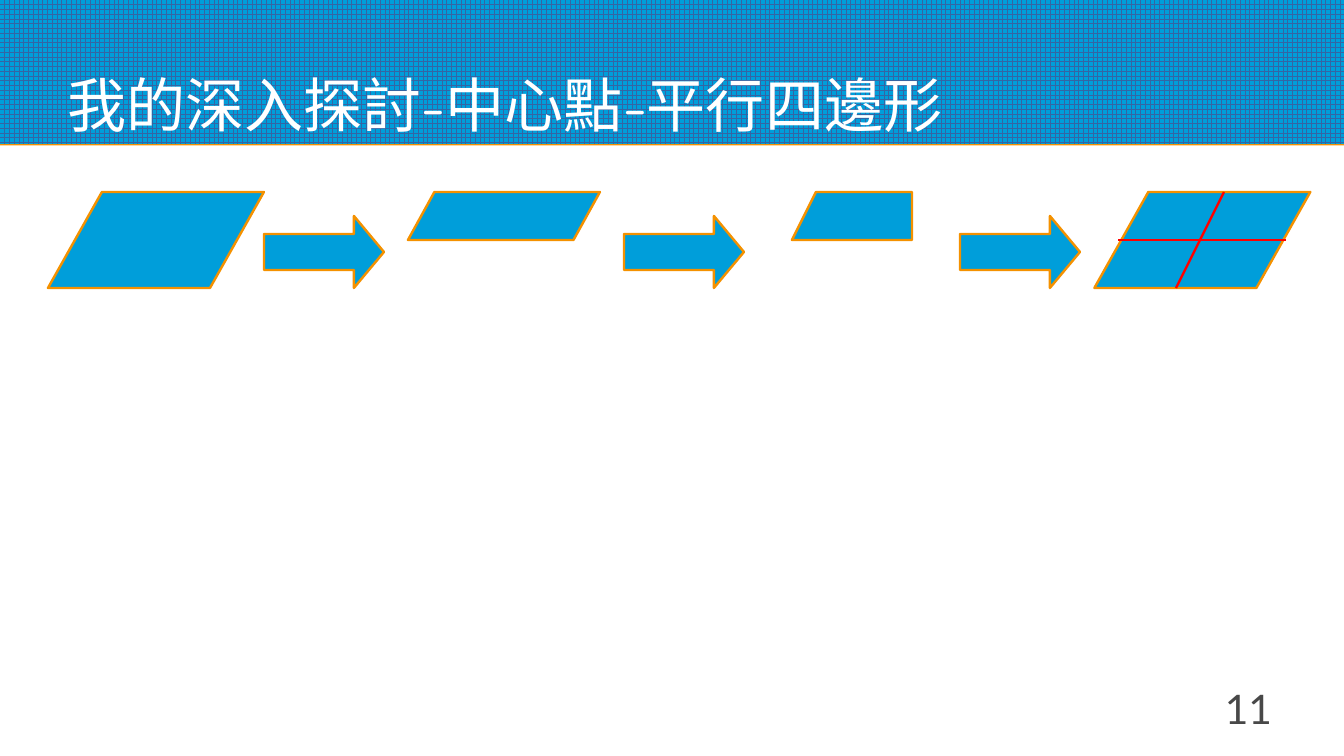
from lxml.etree import SubElement
from pptx import Presentation
from pptx.dml.color import RGBColor
from pptx.enum.dml import MSO_PATTERN
from pptx.enum.shapes import MSO_CONNECTOR, MSO_SHAPE as SHAPE
from pptx.enum.text import MSO_ANCHOR as ANCHOR, PP_ALIGN as ALIGN
from pptx.oxml.ns import qn
from pptx.util import Cm, Pt

COLORS = {name: RGBColor.from_string(value) for name, value in {
    "blue": "009EDA", "grid": "3465A4", "orange": "F49100",
    "red": "FF0000", "white": "FFFFFF", "gray": "484848"}.items()}
UNIT = Cm(0.5)
COLS, ROWS = 56, 31.5
TOP = 8

prs = Presentation()
prs.slide_width, prs.slide_height = int(COLS * UNIT), int(ROWS * UNIT)
s = prs.slides.add_slide(prs.slide_layouts[6])


def grid(*values):
    return [int(v * UNIT) for v in values]


def style(sp):
    sp.shadow.inherit = False
    sp.fill.solid()
    sp.fill.fore_color.rgb = COLORS["blue"]
    sp.line.color.rgb = COLORS["orange"]
    sp.line.width = Pt(1.42)


band = s.shapes.add_shape(SHAPE.RECTANGLE, *grid(0, 0, COLS, 6))
band.fill.patterned()
band.fill.pattern = MSO_PATTERN.LARGE_GRID
band.fill.fore_color.rgb = COLORS["grid"]
band.fill.back_color.rgb = COLORS["blue"]
band.line.fill.background()
band.shadow.inherit = False
effects = band._element.spPr.find(qn("a:effectLst"))
shadow = SubElement(effects, qn("a:outerShdw"), blurRad="0", dist=str(Pt(0.9)),
                    dir="5400000", algn="ctr", rotWithShape="0")
SubElement(shadow, qn("a:srgbClr"), val=str(COLORS["orange"]))

for text, box, size, font, color, align, anchor in [
    ("我的深入探討-中心點-平行四邊形", (2.8, 0.5, 50.4, 5.3), 34.9,
     "Comic Neue", "white", ALIGN.LEFT, ANCHOR.BOTTOM),
    ("11", (40, 28.5, 13, 2.5), 24, "Lato", "gray", ALIGN.RIGHT, ANCHOR.TOP),
]:
    tf = s.shapes.add_textbox(*grid(*box)).text_frame
    tf.margin_left = tf.margin_right = tf.margin_top = tf.margin_bottom = 0
    tf.word_wrap = True
    tf.vertical_anchor = anchor
    tf.text = text
    p = tf.paragraphs[0]
    p.alignment = align
    r = p.runs[0]
    r.font.size = Pt(size)
    r.font.name = font
    r.font.color.rgb = COLORS[color]

for left, width, height, slant in [(2, 9, 4, 0.562), (17, 8, 2, 0.551), (45.6, 9, 4, 0.562)]:
    sp = s.shapes.add_shape(SHAPE.PARALLELOGRAM, *grid(left, TOP, width, height))
    sp.adjustments[0] = slant
    style(sp)

for left in (11, 26, 40):
    sp = s.shapes.add_shape(SHAPE.RIGHT_ARROW, *grid(left, TOP + 1, 5, 3))
    sp.adjustments[1] = 0.417
    style(sp)

fb = s.shapes.build_freeform(*grid(34, TOP), scale=1.0)
fb.add_line_segments([grid(33, TOP + 2), grid(38, TOP + 2), grid(38, TOP)], close=True)
style(fb.convert_to_shape())

for ends in [(46.6, TOP + 2, 53.6, TOP + 2), (51, TOP, 49, TOP + 4)]:
    fold = s.shapes.add_connector(MSO_CONNECTOR.STRAIGHT, *grid(*ends))
    fold.line.color.rgb = COLORS["red"]
    fold.line.width = Pt(1.42)
    SubElement(fold._element.spPr, qn("a:effectLst"))

prs.save("out.pptx")
